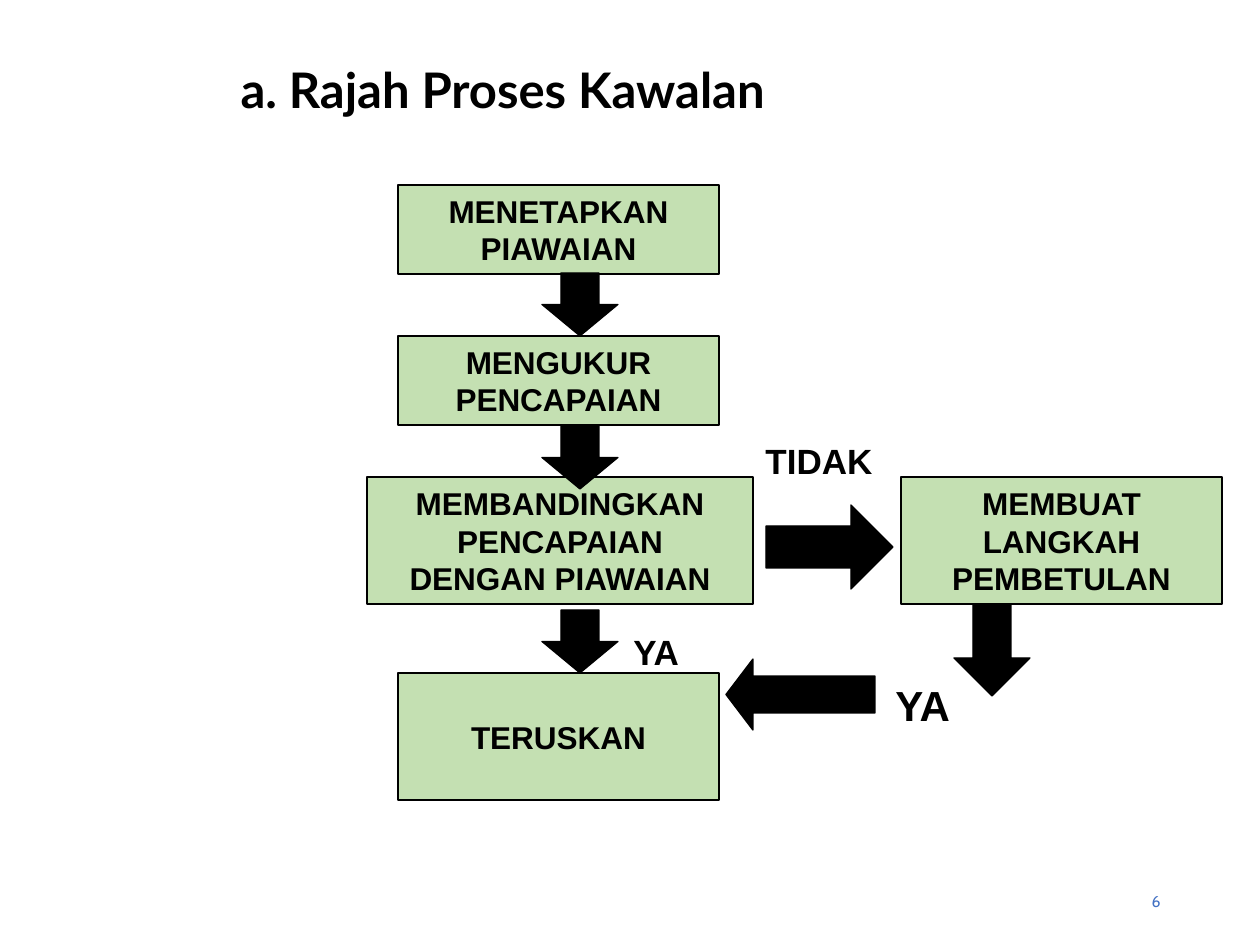
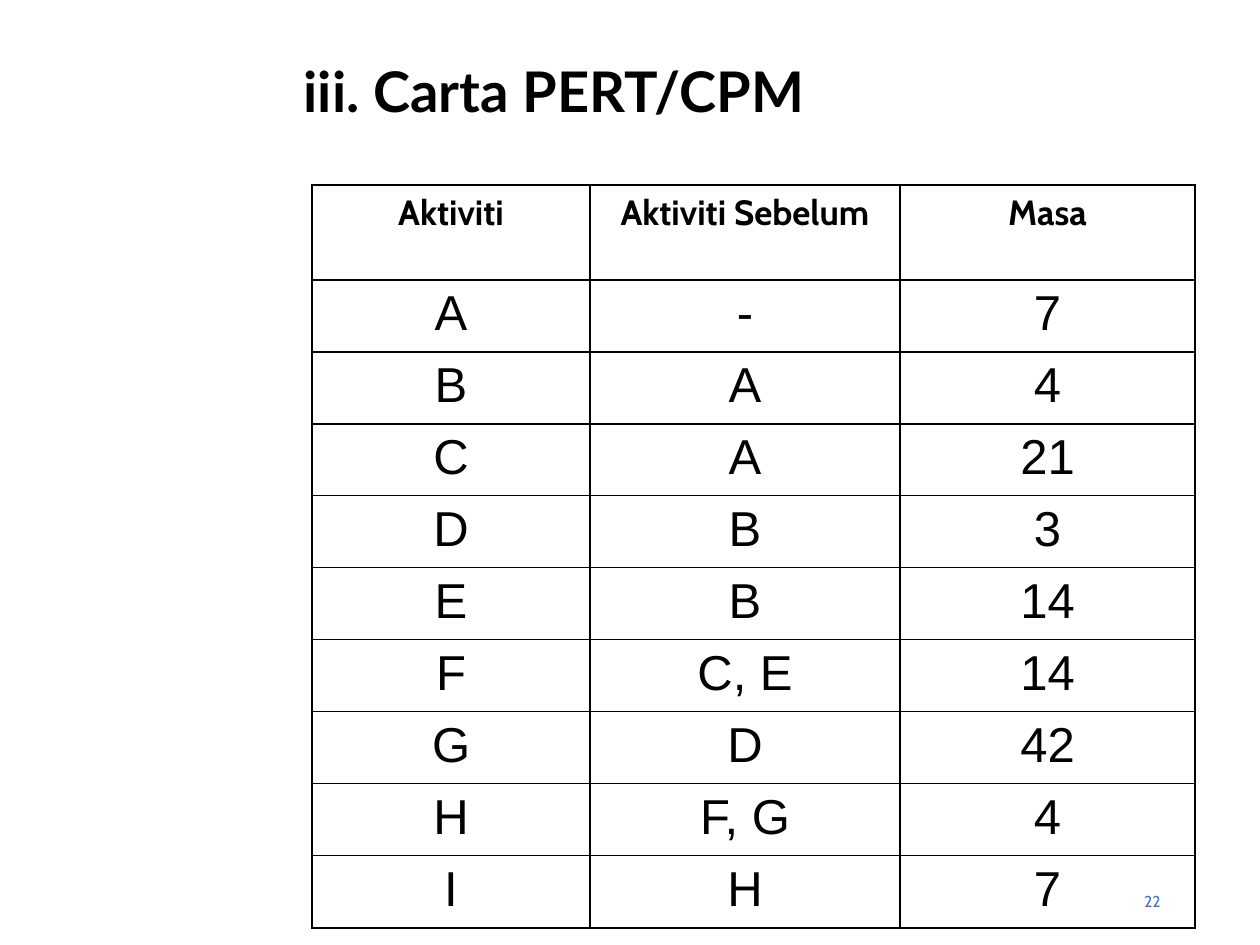
from dataclasses import dataclass

from lxml.etree import SubElement
from pptx import Presentation
from pptx.dml.color import RGBColor
from pptx.enum.shapes import MSO_SHAPE as Shape
from pptx.enum.text import MSO_ANCHOR as Anchor, MSO_AUTO_SIZE as AutoSize, PP_ALIGN as Align
from pptx.oxml.ns import qn
from pptx.util import Emu, Pt

PX = 914400 / 126  # EMU in one px


@dataclass(frozen=True)
class Theme:
    ink: str = "000000"
    box_fill: str = "C4E0B2"
    page_color: str = "4472C4"
    title_font: str = "Lato"
    body_font: str = "Arial"
    accent_font: str = "Cabin"
    box_size: int = 18
    label_size: int = 20
    large_size: int = 24
    cell_size: int = 28
    page_size: int = 9
    line: float = 0.75
    frame: float = 1.08


THEME = Theme()


@dataclass(frozen=True)
class Area:
    left: int
    top: int
    width: int
    height: int

    def emu(self) -> list[Emu]:
        return [px(n) for n in (self.left, self.top, self.width, self.height)]


@dataclass(frozen=True)
class Step:
    text: str
    area: Area


@dataclass(frozen=True)
class Arrow:
    kind: Shape
    area: Area
    shaft: float = 0.5
    head: float = 0.5


@dataclass(frozen=True)
class Label:
    text: str
    area: Area
    size: int = THEME.label_size


# Control process diagram
STEP_WIDTH, STEP_LEFT = 321, 398
STEPS = [
    Step("MENETAPKAN PIAWAIAN", Area(STEP_LEFT, 185, STEP_WIDTH, 89)),
    Step("MENGUKUR PENCAPAIAN", Area(STEP_LEFT, 336, STEP_WIDTH, 89)),
    Step("TERUSKAN", Area(STEP_LEFT, 673, STEP_WIDTH, 127)),
    Step("MEMBUAT\nLANGKAH\nPEMBETULAN", Area(901, 477, STEP_WIDTH, 127)),
    Step("MEMBANDINGKAN\nPENCAPAIAN\nDENGAN PIAWAIAN", Area(367, 477, 386, 127)),
]
ARROWS = [
    *(Arrow(Shape.DOWN_ARROW, Area(542, top, 76, 63)) for top in (273, 426, 610)),
    Arrow(Shape.DOWN_ARROW, Area(954, 605, 76, 91)),
    Arrow(Shape.RIGHT_ARROW, Area(766, 505, 127, 84)),
    Arrow(Shape.LEFT_ARROW, Area(726, 659, 149, 71), 0.52, 0.38),
]
LABELS = [
    Label("TIDAK", Area(753, 433, 147, 55)),
    Label("YA", Area(883, 673, 105, 55), THEME.large_size),
    Label("YA", Area(621, 624, 87, 54)),
]

# Activity table
COLUMN_WIDTHS = (278, 310, 295)
HEADER_HEIGHT, ROW_HEIGHT = 95, 72
ACTIVITIES = [
    ("Aktiviti", "Aktiviti Sebelum", "Masa"),
    ("A", "-", "7"),
    ("B", "A", "4"),
    ("C", "A", "21"),
    ("D", "B", "3"),
    ("E", "B", "14"),
    ("F", "C, E", "14"),
    ("G", "D", "42"),
    ("H", "F, G", "4"),
    ("I", "H", "7"),
]


def px(length: int) -> Emu:
    return Emu(round(length * PX))


def write(frame, text: str, font: str, size: int, bold: bool = False,
          color: str = THEME.ink, align: Align = Align.LEFT, spacing: float = 1.0) -> None:
    """Fill a text frame, one paragraph per line of text."""
    frame.text = text
    frame.word_wrap = True
    for paragraph in frame.paragraphs:
        paragraph.alignment = align
        paragraph.line_spacing = spacing
        paragraph.font.name = font
        paragraph.font.size = Pt(size)
        paragraph.font.bold = bold
        paragraph.font.color.rgb = RGBColor.from_string(color)


def add_slide(presentation, title: str, area: Area, size: int, spacing: float, number: int):
    """Add a slide with its title and page number."""
    slide = presentation.slides.add_slide(presentation.slide_layouts[5])
    shape = slide.shapes.title
    shape.left, shape.top, shape.width, shape.height = area.emu()
    frame = shape.text_frame
    frame.auto_size = AutoSize.NONE
    frame.vertical_anchor = Anchor.TOP
    write(frame, title, THEME.title_font, size, bold=True, spacing=spacing)

    page = slide.shapes.add_textbox(*Area(890, 876, 283, 50).emu()).text_frame
    page.vertical_anchor = Anchor.MIDDLE
    write(page, str(number), THEME.accent_font, THEME.page_size,
          color=THEME.page_color, align=Align.RIGHT)
    return slide


def add_outlined(slide, kind: Shape, area: Area, fill: str):
    shape = slide.shapes.add_shape(kind, *area.emu())
    shape.shadow.inherit = False
    shape.fill.solid()
    shape.fill.fore_color.rgb = RGBColor.from_string(fill)
    shape.line.color.rgb = RGBColor.from_string(THEME.ink)
    shape.line.width = Pt(THEME.line)
    return shape


def add_step(slide, step: Step) -> None:
    frame = add_outlined(slide, Shape.RECTANGLE, step.area, THEME.box_fill).text_frame
    frame.vertical_anchor = Anchor.MIDDLE
    write(frame, step.text, THEME.body_font, THEME.box_size, bold=True, align=Align.CENTER)


def add_arrow(slide, arrow: Arrow) -> None:
    shape = add_outlined(slide, arrow.kind, arrow.area, THEME.ink)
    shape.adjustments[0] = arrow.shaft
    shape.adjustments[1] = arrow.head


def add_label(slide, label: Label) -> None:
    frame = slide.shapes.add_textbox(*label.area.emu()).text_frame
    write(frame, label.text, THEME.body_font, label.size, bold=True)


def set_borders(cell, outer: dict[str, bool]) -> None:
    """Draw the four edges, heavier where they lie on the table's frame."""
    properties = cell._tc.get_or_add_tcPr()
    for edge, is_outer in outer.items():
        width = Pt(THEME.frame if is_outer else THEME.line)
        line = SubElement(properties, qn(f"a:{edge}"), w=str(width))
        SubElement(SubElement(line, qn("a:solidFill")), qn("a:srgbClr"), val=THEME.ink)


def add_activity_table(slide) -> None:
    last_row, last_column = len(ACTIVITIES) - 1, len(COLUMN_WIDTHS) - 1
    area = Area(312, 185, sum(COLUMN_WIDTHS), HEADER_HEIGHT + last_row * ROW_HEIGHT)
    table = slide.shapes.add_table(last_row + 1, last_column + 1, *area.emu()).table
    table.first_row = table.horz_banding = False
    for column, width in zip(table.columns, COLUMN_WIDTHS):
        column.width = px(width)
    for r, values in enumerate(ACTIVITIES):
        is_header = r == 0
        table.rows[r].height = px(HEADER_HEIGHT if is_header else ROW_HEIGHT)
        for c, value in enumerate(values):
            cell = table.cell(r, c)
            set_borders(cell, {"lnL": c == 0, "lnR": c == last_column,
                               "lnT": is_header, "lnB": r == last_row})
            cell.fill.background()
            cell.margin_top = px(6 if is_header else 10)
            if is_header:
                write(cell.text_frame, value, THEME.accent_font, THEME.label_size,
                      bold=True, align=Align.CENTER, spacing=1.01)
            else:
                write(cell.text_frame, value, THEME.body_font, THEME.cell_size,
                      align=Align.CENTER, spacing=0.93)


def main() -> None:
    presentation = Presentation()
    presentation.slide_width, presentation.slide_height = px(1260), px(945)

    # Process diagram
    process = add_slide(presentation, "a. Rajah Proses Kawalan",
                        Area(228, 60, 1018, 90), 28, 0.9, 6)
    for step in STEPS:
        add_step(process, step)
    for arrow in ARROWS:
        add_arrow(process, arrow)
    for label in LABELS:
        add_label(process, label)

    # PERT/CPM table
    chart = add_slide(presentation, "iii. Carta PERT/CPM",
                      Area(291, 50, 942, 120), 32, 1.0, 22)
    add_activity_table(chart)

    presentation.save("out.pptx")


if __name__ == "__main__":
    main()
